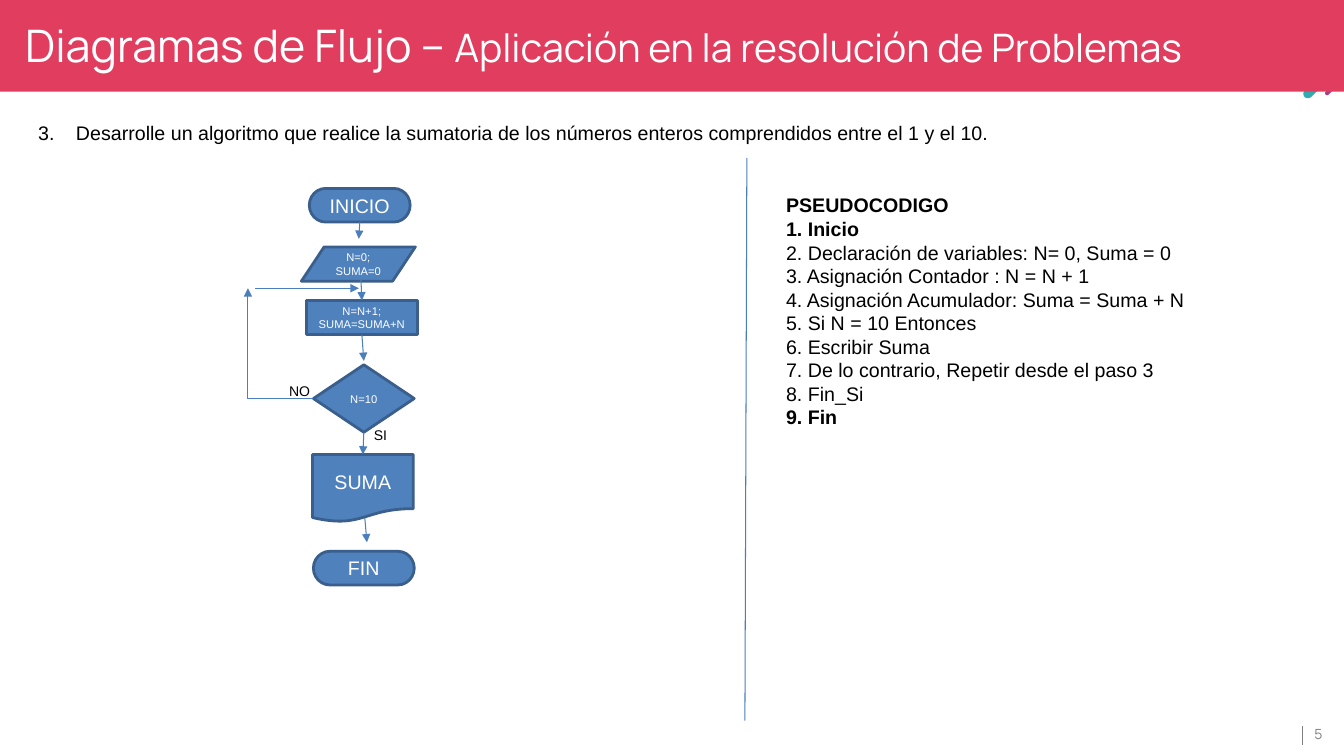
from dataclasses import dataclass

from lxml.etree import SubElement
from pptx import Presentation
from pptx.dml.color import RGBColor
from pptx.enum.shapes import MSO_CONNECTOR, MSO_SHAPE
from pptx.enum.text import MSO_ANCHOR, MSO_AUTO_SIZE, PP_ALIGN
from pptx.oxml.ns import qn
from pptx.util import Pt


@dataclass(frozen=True)
class Theme:
    """Colours, fonts and type sizes of the slide."""
    band: str = "E13D5E"
    teal: str = "32AAAF"
    purple: str = "AA3B86"
    node: str = "4F81BD"
    node_edge: str = "3A5F8C"
    arrow: str = "4B7EBC"
    ink: str = "000000"
    white: str = "FFFFFF"
    grey: str = "7F7F7F"
    heading_font: str = "Manrope"
    body_font: str = "Arial"
    title: int = 32
    subtitle: int = 28
    body: int = 14
    small: int = 10
    tiny: int = 8


THEME = Theme()
TOP, LEFT, BOTTOM, RIGHT = range(4)
SIDE_FRACTIONS = [(0.5, 0), (0, 0.5), (0.5, 1), (1, 0.5)]
PSEUDOCODE = [
    "PSEUDOCODIGO",
    "1. Inicio",
    "2. Declaración de variables: N= 0, Suma = 0",
    "3. Asignación Contador : N = N + 1",
    "4. Asignación Acumulador: Suma = Suma + N",
    "5. Si N = 10 Entonces",
    "6. Escribir Suma",
    "7. De lo contrario, Repetir desde el paso 3",
    "8. Fin_Si",
    "9. Fin",
]
BOLD_LINES = {"PSEUDOCODIGO", "1. Inicio", "9. Fin"}


def apply_format(target, values):
    """Set each named attribute on the target."""
    for name, value in values.items():
        setattr(target, name, value)


def place(item, box):
    """Move and size an item to a box given in points."""
    apply_format(item, dict(zip(("left", "top", "width", "height"), map(Pt, box))))


def add_run(paragraph, text, size, color=THEME.ink, font=THEME.body_font, bold=False):
    """Append a formatted run to a paragraph."""
    run = paragraph.add_run()
    run.text = text
    apply_format(run.font, {"size": Pt(size), "name": font, "bold": bold})
    run.font.color.rgb = RGBColor.from_string(color)


def write_lines(frame, lines, align=PP_ALIGN.LEFT, bold_lines=(), **style):
    """Write one paragraph per line into a text frame."""
    for index, line in enumerate(lines):
        paragraph = frame.add_paragraph() if index else frame.paragraphs[0]
        paragraph.alignment = align
        add_run(paragraph, line, bold=line in bold_lines, **style)


def add_text(slide, box, lines, frame_format=None, **style):
    """Add a text box and return its frame."""
    frame = slide.shapes.add_textbox(*map(Pt, box)).text_frame
    apply_format(frame, {"word_wrap": True, **(frame_format or {})})
    write_lines(frame, lines, **style)
    return frame


def add_block(slide, kind, box, fill, edge=None):
    """Add a flat filled shape, outlined only when an edge colour is given."""
    block = slide.shapes.add_shape(kind, *map(Pt, box))
    block.shadow.inherit = False
    block.fill.solid()
    block.fill.fore_color.rgb = RGBColor.from_string(fill)
    if edge:
        block.line.color.rgb = RGBColor.from_string(edge)
        block.line.width = Pt(2)
    else:
        block.line.fill.background()
    return block


def add_node(slide, kind, box, lines, size):
    """Add a flowchart step with centred white text."""
    node = add_block(slide, kind, box, THEME.node, THEME.node_edge)
    node.text_frame.vertical_anchor = MSO_ANCHOR.MIDDLE
    write_lines(node.text_frame, lines, PP_ALIGN.CENTER, size=size, color=THEME.white)
    return node


def add_tick(slide, box, color):
    """Add a tilted rounded accent that peeks out below the band."""
    tick = add_block(slide, MSO_SHAPE.ROUND_2_SAME_RECTANGLE, box, color)
    tick.adjustments[0], tick.adjustments[1] = 0.5, 0
    tick.rotation = 225


def locate(end):
    """Return the position of a point or of a (node, side) pair."""
    first, second = end
    if isinstance(first, (int, float)):
        return Pt(first), Pt(second)
    across, down = SIDE_FRACTIONS[second]
    return int(first.left + first.width * across), int(first.top + first.height * down)


def add_link(slide, begin, end, color=THEME.arrow, width=0.75, arrow=True, bent=False):
    """Draw a line between points or node sides."""
    kind = MSO_CONNECTOR.ELBOW if bent else MSO_CONNECTOR.STRAIGHT
    link = slide.shapes.add_connector(kind, *locate(begin), *locate(end))
    for join, (node, side) in ((link.begin_connect, begin), (link.end_connect, end)):
        if not isinstance(node, (int, float)):
            join(node, side)
    link.line.color.rgb = RGBColor.from_string(color)
    link.line.width = Pt(width)
    properties = link.element.spPr
    if bent:
        properties.find(qn("a:prstGeom")).set("prst", "bentConnector2")
    if arrow:
        SubElement(properties.find(qn("a:ln")), qn("a:tailEnd"), type="triangle")
    SubElement(properties, qn("a:effectLst"))


def add_heading(slide):
    """Build the coloured band with the slide title on top."""
    add_tick(slide, (943.9, 32.4, 6.5, 43.2), THEME.teal)
    add_tick(slide, (952.6, 50.4, 2.9, 20.2), THEME.purple)
    band = add_block(slide, MSO_SHAPE.RECTANGLE, (-2, -0.7, 964, 66.2), THEME.band)
    title = slide.shapes.title
    band.element.addnext(title.element)
    place(title, (8.6, 2.9, 916.6, 46))
    margins = ("margin_left", "margin_top", "margin_right", "margin_bottom")
    apply_format(title.text_frame, {
        **dict.fromkeys(margins, Pt(9.4)),
        "vertical_anchor": MSO_ANCHOR.TOP,
        "auto_size": MSO_AUTO_SIZE.NONE,
        "word_wrap": True,
    })
    paragraph = title.text_frame.paragraphs[0]
    paragraph.alignment = PP_ALIGN.LEFT
    for text, size in (("Diagramas de Flujo – ", THEME.title),
                       ("Aplicación en la resolución de Problemas", THEME.subtitle)):
        add_run(paragraph, text, size, THEME.white, THEME.heading_font)


def add_exercise(slide):
    """Add the exercise statement, numbered 3."""
    frame = add_text(slide, (20.2, 82.8, 892.8, 24.5), [
        "Desarrolle un algoritmo que realice la sumatoria de los números enteros "
        "comprendidos entre el 1 y el 10."], size=THEME.body)
    numbering = frame.paragraphs[0]._p.get_or_add_pPr()
    numbering.set("marL", str(Pt(27)))
    numbering.set("indent", str(Pt(-27)))
    SubElement(numbering, qn("a:buAutoNum"), type="arabicPeriod", startAt="3")


def add_flowchart(slide):
    """Build the flowchart steps, their arrows and the branch labels."""
    start = add_node(slide, MSO_SHAPE.FLOWCHART_TERMINATOR, (221, 134.6, 72, 24),
                     ["INICIO"], THEME.body)
    add_node(slide, MSO_SHAPE.FLOWCHART_DATA, (215.3, 176.4, 81.4, 24.5),
             ["N=0;", "SUMA=0"], THEME.tiny)
    process = add_node(slide, MSO_SHAPE.FLOWCHART_PROCESS, (218.9, 214.6, 79.2, 24.5),
                       ["N=N+1;", "SUMA=SUMA+N"], THEME.tiny)
    decision = add_node(slide, MSO_SHAPE.FLOWCHART_DECISION, (223.9, 260.6, 72, 48.2),
                        ["N=10"], THEME.tiny)
    output = add_node(slide, MSO_SHAPE.FLOWCHART_DOCUMENT, (223.2, 324.7, 72, 48.2),
                      ["SUMA"], THEME.body)
    add_node(slide, MSO_SHAPE.FLOWCHART_TERMINATOR, (223.9, 393.8, 72, 24),
             ["FIN"], THEME.body)
    for begin, end in (
        ((start, BOTTOM), (256.3, 170.6)),
        ((257.8, 199), (process, TOP)),
        ((process, BOTTOM), (259.9, 257.8)),
        ((decision, BOTTOM), (output, TOP)),
        ((260.6, 370.1), (262.1, 387.4)),
        ((182.2, 205.9), (256.3, 205.9)),
    ):
        add_link(slide, begin, end)
    add_link(slide, (decision, LEFT), (177.1, 205.9), bent=True)
    for label, box in (("SI", (259.9, 301, 23.8, 19.4)), ("NO", (199.4, 270, 29.5, 19.4))):
        add_text(slide, box, [label], {"word_wrap": False}, size=THEME.small)


def add_page_number(slide):
    """Add the page number and its rule."""
    add_link(slide, (930.2, 518.4), (930.2, 532.1), THEME.grey, 1, arrow=False)
    margins = ("margin_left", "margin_top", "margin_right", "margin_bottom")
    add_text(slide, (936, 514.1, 24, 20.2), ["5"],
             {**dict.fromkeys(margins, Pt(2.9)), "vertical_anchor": MSO_ANCHOR.MIDDLE},
             size=THEME.small, color=THEME.grey, font=THEME.heading_font)


def main():
    """Build the slide and save it."""
    deck = Presentation()
    apply_format(deck, {"slide_width": Pt(960), "slide_height": Pt(540)})
    slide = deck.slides.add_slide(deck.slide_layouts[5])
    add_heading(slide)
    add_exercise(slide)
    add_flowchart(slide)
    add_link(slide, (533.5, 113), (532.1, 514.8), arrow=False)
    add_text(slide, (554.4, 134.6, 336.2, 177.1), PSEUDOCODE,
             size=THEME.body, bold_lines=BOLD_LINES)
    add_page_number(slide)
    deck.save("out.pptx")


if __name__ == "__main__":
    main()
